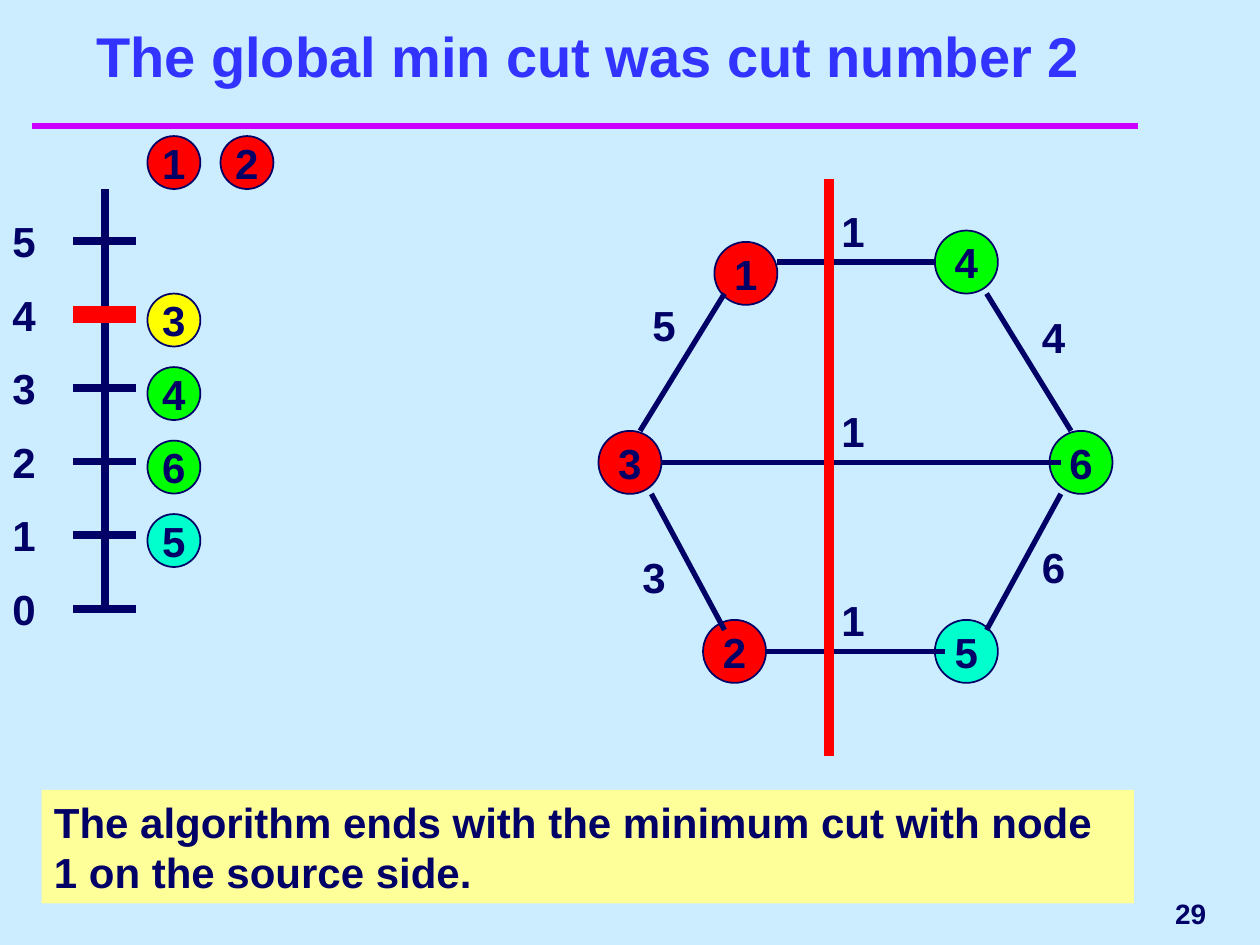
import pptx
import pptx.util
import pptx.dml.color
import pptx.enum.shapes
import pptx.enum.text
import pptx.oxml.ns
import lxml.etree
from pptx.util import Inches

NAVY, RED, GREEN, AQUA, YELLOW = "000066", "FF0000", "00FF00", "00FFCC", "FFFF00"
color = pptx.dml.color.RGBColor.from_string
shape_kind = pptx.enum.shapes.MSO_SHAPE
anchor = pptx.enum.text.MSO_ANCHOR
align = pptx.enum.text.PP_ALIGN

deck = pptx.Presentation()
deck.slide_width, deck.slide_height = Inches(10), Inches(7.5)
slide = deck.slides.add_slide(deck.slide_layouts[6])
slide.background.fill.solid()
slide.background.fill.fore_color.rgb = color("CCECFF")
shapes = slide.shapes


def draw_line(x1, y1, x2, y2, width, hue=NAVY):
    line = shapes.add_connector(
        pptx.enum.shapes.MSO_CONNECTOR.STRAIGHT,
        Inches(x1), Inches(y1), Inches(x2), Inches(y2))
    line.line.width = pptx.util.Pt(width)
    line.line.color.rgb = color(hue)
    lxml.etree.SubElement(line._element.spPr, pptx.oxml.ns.qn("a:effectLst"))


def put_text(text, left, top, width, height, kind=None, fill=None, size=24,
             hue=NAVY, side=align.LEFT, hold=anchor.TOP):
    place = [Inches(v) for v in (left, top, width, height)]
    if kind is None:
        box = shapes.add_textbox(*place)
    else:
        box = shapes.add_shape(kind, *place)
        box.shadow.inherit = False
        box.fill.solid()
        box.fill.fore_color.rgb = color(fill)
        if kind == shape_kind.OVAL:
            box.line.color.rgb = color(NAVY)
            box.line.width = pptx.util.Pt(1)
        else:
            box.line.fill.background()
    frame = box.text_frame
    frame.word_wrap = kind != shape_kind.OVAL
    frame.vertical_anchor = hold
    frame.text = text
    para = frame.paragraphs[0]
    para.alignment = side
    para.font.name = "Arial"
    para.font.size = pptx.util.Pt(size)
    para.font.bold = True
    para.font.color.rgb = color(hue)


# Title and rule
draw_line(0.25, 1, 9.03, 1, 4, "CC00FF")
put_text("The global min cut was cut number 2", 0.42, 0.33, 8.5, 0.42,
         size=32, hue="3333FF", side=align.CENTER, hold=anchor.BOTTOM)

# Distance scale, with level 4 marked
step = 3.5 / 6
draw_line(0.83, 1.5, 0.83, 4.83, 4.5)
for level in range(6):
    y = 4.83 - level * step
    put_text(str(level), 0, y - 0.25, 0.42, 0.5)
    if level == 4:
        draw_line(0.58, y, 1.08, y, 10, RED)
    else:
        draw_line(0.58, y, 1.08, y, 4.5)

# Nodes beside the scale, then nodes of the graph: left, top, fill
scale = [("1", 1.17, 1.08, RED), ("2", 1.75, 1.08, RED)]
for row, (name, fill) in enumerate(
        [("3", YELLOW), ("4", GREEN), ("6", GREEN), ("5", AQUA)]):
    scale.append((name, 1.17, 2.33 + row * step, fill))
graph = [("1", 5.67, 1.92, RED), ("3", 4.75, 3.42, RED), ("2", 5.58, 4.92, RED),
         ("5", 7.42, 4.92, AQUA), ("6", 8.33, 3.42, GREEN), ("4", 7.42, 1.83, GREEN)]
for nodes, size in ((scale, 0.42), (graph, 0.5)):
    for name, left, top, fill in nodes:
        put_text(name, left, top, size, size, shape_kind.OVAL, fill,
                 side=align.CENTER, hold=anchor.MIDDLE)

# Edges with their weights: ends, weight, left and top of the label
edges = [
    (6.17, 2.08, 7.42, 2.08, "1", 6.58, 1.58),
    (5.75, 2.33, 5.08, 3.42, "5", 5.08, 2.33),
    (5.17, 3.92, 5.75, 5, "3", 5, 4.33),
    (6.08, 5.17, 7.5, 5.17, "1", 6.58, 4.67),
    (7.83, 5, 8.42, 3.92, "6", 8.17, 4.25),
    (8.5, 3.42, 7.83, 2.33, "4", 8.17, 2.42),
    (5.25, 3.67, 8.42, 3.67, "1", 6.58, 3.17),
]
for x1, y1, x2, y2, weight, left, top in edges:
    draw_line(x1, y1, x2, y2, 3)
    put_text(weight, left, top, 0.67, 0.5)

# The cut
draw_line(6.58, 1.42, 6.58, 6, 6, RED)

# Conclusion and slide number
put_text("The algorithm ends with the minimum cut with node 1 on the source side.",
         0.33, 6.27, 8.67, 0.9, shape_kind.RECTANGLE, "FFFF99")
put_text("29", 7.75, 7, 1.92, 0.5, size=16, side=align.RIGHT, hold=anchor.MIDDLE)

deck.save("out.pptx")
